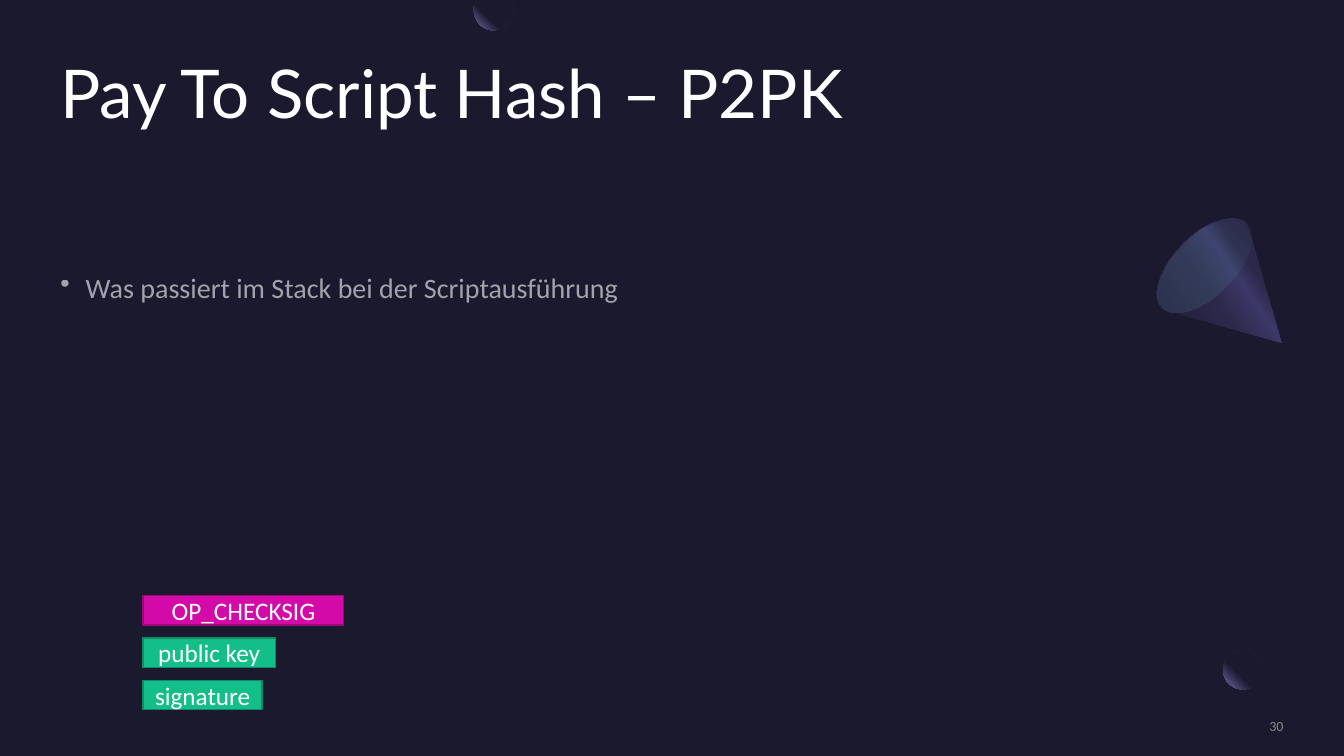
from dataclasses import dataclass

from pptx import Presentation
from pptx.dml.color import RGBColor
from pptx.enum.shapes import MSO_SHAPE as SHAPE
from pptx.enum.text import MSO_ANCHOR as ANCHOR, PP_ALIGN as ALIGN
from pptx.oxml import parse_xml
from pptx.oxml.ns import nsdecls, qn
from pptx.oxml.xmlchemy import OxmlElement
from pptx.shapes.autoshape import Shape
from pptx.slide import Slide
from pptx.text.text import TextFrame, _Paragraph as Paragraph, _Run as Run
from pptx.util import Inches, Pt

NIGHT = RGBColor(0x1B, 0x19, 0x2E)
DUSK = RGBColor(0x2C, 0x28, 0x4A)
INDIGO = RGBColor(0x3C, 0x38, 0x67)
VIOLET = RGBColor(0x45, 0x40, 0x75)
LILAC = RGBColor(0x77, 0x71, 0xB2)
MINT = RGBColor(0x5B, 0xEF, 0xC1)
GREEN = RGBColor(0x13, 0xBE, 0x89)
DARK_GREEN = RGBColor(0x0E, 0x8D, 0x65)
PINK = RGBColor(0xD4, 0x0A, 0xA8)
DARK_PINK = RGBColor(0x9D, 0x07, 0x7C)
WHITE = RGBColor(0xFF, 0xFF, 0xFF)
GREY = RGBColor(0xA6, 0xA6, 0xA6)

Point = tuple[float, float]


@dataclass
class Stop:
    pos: int
    color: RGBColor
    alpha: int = 100


@dataclass
class StackItem:
    text: str
    width: float
    fill: RGBColor
    line: RGBColor


STACK = [
    StackItem("signature", 1.18, GREEN, DARK_GREEN),
    StackItem("public key", 1.31, GREEN, DARK_GREEN),
    StackItem("OP_CHECKSIG", 1.99, PINK, DARK_PINK),
]
STACK_LEFT, STACK_BOTTOM, STACK_STEP, ITEM_HEIGHT = 1.42, 6.75, 0.42, 0.29

GLOW_STOPS = [Stop(60, NIGHT), Stop(100, LILAC)]
GLOW = ('<a:path path="circle">'
        '<a:fillToRect l="100000" b="100000"/></a:path>')
CONE_STOPS = [Stop(30, DUSK), Stop(40, INDIGO), Stop(60, DUSK), Stop(100, NIGHT)]

# Each segment holds one end point, or two control points and an end point.
CONE = [
    [(12.71, 3.4)], [(11.58, 3.08)], [(11.57, 3.08)],
    [(11.56, 3.07), (11.54, 3.06), (11.52, 3.05)],
    [(11.41, 2.93), (11.5, 2.65), (11.73, 2.42)],
    [(11.96, 2.19), (12.24, 2.1), (12.36, 2.21)],
    [(12.37, 2.23), (12.38, 2.24), (12.39, 2.26)],
    [(12.39, 2.27)],
]
TOP_BALL = [
    [(4.73, 0)], [(5.06, 0)], [(5.08, 0.03)],
    [(5.09, 0.05), (5.09, 0.08), (5.09, 0.1)],
    [(5.09, 0.21), (5, 0.3), (4.89, 0.3)],
    [(4.79, 0.3), (4.7, 0.21), (4.7, 0.1)],
    [(4.7, 0.08), (4.7, 0.05), (4.71, 0.03)],
]


def linear(angle: int) -> str:
    return f'<a:lin ang="{angle * 60000}" scaled="0"/>'


def set_alpha(color_parent, percent: int) -> None:
    """Make the first solid colour below the element translucent."""
    alpha = OxmlElement("a:alpha")
    alpha.set("val", str(percent * 1000))
    next(color_parent.iter(qn("a:srgbClr"))).append(alpha)


def fill_gradient(sp: Shape, stops: list[Stop], direction: str) -> None:
    sp.shadow.inherit = False
    sp.line.fill.background()
    sp.fill.background()
    gs = "".join(
        f'<a:gs pos="{st.pos * 1000}"><a:srgbClr val="{st.color}">'
        f'<a:alpha val="{st.alpha * 1000}"/></a:srgbClr></a:gs>' for st in stops)
    grad = parse_xml(f'<a:gradFill {nsdecls("a")} rotWithShape="1">'
                     f'<a:gsLst>{gs}</a:gsLst>{direction}</a:gradFill>')
    sp_pr = sp._element.spPr
    sp_pr.replace(sp_pr.find(qn("a:noFill")), grad)


def add_shape(s: Slide, kind: SHAPE, x: float, y: float, w: float, h: float) -> Shape:
    sp = s.shapes.add_shape(kind, Inches(x), Inches(y), Inches(w), Inches(h))
    sp.shadow.inherit = False
    return sp


def flatten(segments: list[list[Point]], steps: int = 12) -> list[Point]:
    """Turn lines and cubic curves into a list of points."""
    points: list[Point] = []
    for seg in segments:
        if len(seg) == 1:
            points += seg
            continue
        a, (b, c, d) = points[-1], seg
        for i in range(1, steps + 1):
            t = i / steps
            u = 1 - t
            points.append(tuple(
                u**3 * a[k] + 3 * u * u * t * b[k] + 3 * u * t * t * c[k] + t**3 * d[k]
                for k in (0, 1)))
    return points


def add_outline(s: Slide, segments: list[list[Point]]) -> Shape:
    points = [(Inches(x), Inches(y)) for x, y in flatten(segments)]
    builder = s.shapes.build_freeform(*points[0])
    builder.add_line_segments(points[1:], close=True)
    return builder.convert_to_shape()


def clear_insets(tf: TextFrame) -> None:
    tf.word_wrap = True
    tf.margin_left = tf.margin_right = tf.margin_top = tf.margin_bottom = 0


def add_run(p: Paragraph, text: str, size: int, color: RGBColor,
            font: str = "Calibri", alpha: int = 100) -> Run:
    r = p.add_run()
    r.text = text
    r.font.size, r.font.name = Pt(size), font
    r.font.color.rgb = color
    if alpha < 100:
        set_alpha(r._r, alpha)
    return r


def add_text(s: Slide, x: float, y: float, w: float, h: float) -> TextFrame:
    tf = s.shapes.add_textbox(Inches(x), Inches(y), Inches(w), Inches(h)).text_frame
    clear_insets(tf)
    return tf


def add_decor(s: Slide) -> None:
    ball = add_shape(s, SHAPE.OVAL, 12.13, 6.45, 0.39, 0.39)
    fill_gradient(ball, GLOW_STOPS, GLOW)
    veil = add_shape(s, SHAPE.RECTANGLE, 12.52, 6.37, 0.41, 0.39)
    veil.fill.solid()
    veil.fill.fore_color.rgb = NIGHT
    set_alpha(veil._element.spPr, 80)
    veil.line.fill.background()
    fill_gradient(add_outline(s, CONE), CONE_STOPS, linear(145))
    base = add_shape(s, SHAPE.OVAL, 11.65, 2.04, 0.59, 1.18)
    base.rotation = 225
    fill_gradient(base, [Stop(0, VIOLET, 33), Stop(100, MINT, 0)], linear(90))
    fill_gradient(add_outline(s, TOP_BALL), GLOW_STOPS, GLOW)


def add_title(s: Slide) -> None:
    title = s.shapes.title
    title.left, title.top = Inches(0.6), Inches(0.6)
    title.width, title.height = Inches(12.14), Inches(1.46)
    tf = title.text_frame
    clear_insets(tf)
    tf.vertical_anchor = ANCHOR.TOP
    p = tf.paragraphs[0]
    p.alignment, p.line_spacing = ALIGN.LEFT, 0.9
    add_run(p, "Pay To Script Hash – P2PK", 48, WHITE, "Lato")


def add_bullet(s: Slide) -> None:
    p = add_text(s, 0.6, 2.65, 12.73, 3.84).paragraphs[0]
    p_pr = p._p.get_or_add_pPr()
    p_pr.set("marL", str(Inches(0.25)))
    p_pr.set("indent", str(Inches(-0.25)))
    bullet = OxmlElement("a:buChar")
    bullet.set("char", "•")
    p_pr.append(bullet)
    p.line_spacing, p.space_after = 1.1, Pt(8)
    add_run(p, "Was passiert im Stack bei der Scriptausführung", 20, WHITE, alpha=60)


def add_stack(s: Slide) -> None:
    for i, item in enumerate(STACK):
        sp = add_shape(s, SHAPE.RECTANGLE, STACK_LEFT, STACK_BOTTOM - i * STACK_STEP,
                       item.width, ITEM_HEIGHT)
        sp.fill.solid()
        sp.fill.fore_color.rgb = item.fill
        sp.line.color.rgb, sp.line.width = item.line, Pt(1)
        sp.text_frame.vertical_anchor = ANCHOR.MIDDLE
        p = sp.text_frame.paragraphs[0]
        p.alignment = ALIGN.CENTER
        add_run(p, item.text, 18, WHITE)


def add_page_number(s: Slide) -> None:
    tf = add_text(s, 10.88, 7.12, 1.85, 0.17)
    tf.vertical_anchor = ANCHOR.MIDDLE
    p = tf.paragraphs[0]
    p.alignment = ALIGN.RIGHT
    add_run(p, "30", 10, GREY, alpha=80)


def main() -> None:
    prs = Presentation()
    prs.slide_width, prs.slide_height = Inches(13.33), Inches(7.5)
    s = prs.slides.add_slide(prs.slide_layouts[5])
    s.background.fill.solid()
    s.background.fill.fore_color.rgb = NIGHT
    add_decor(s)
    add_title(s)
    add_bullet(s)
    add_page_number(s)
    add_stack(s)
    prs.save("out.pptx")


if __name__ == "__main__":
    main()
